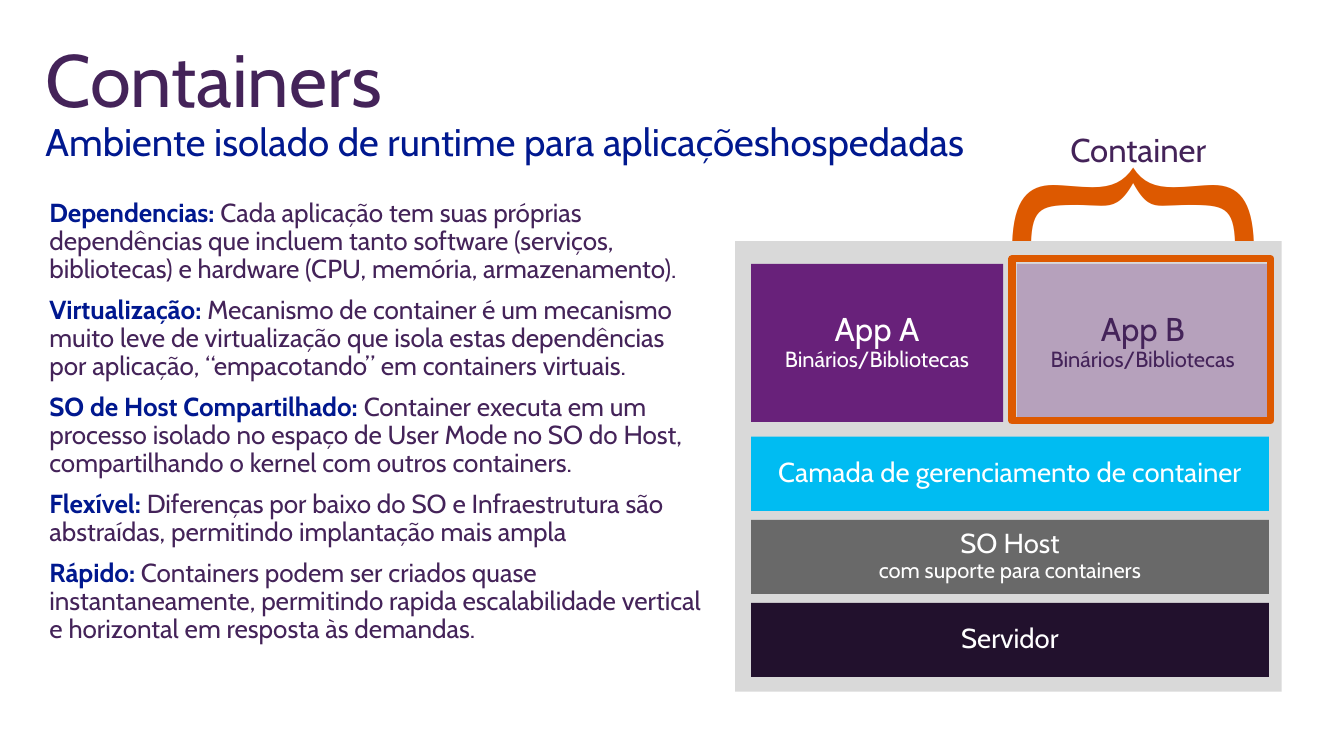
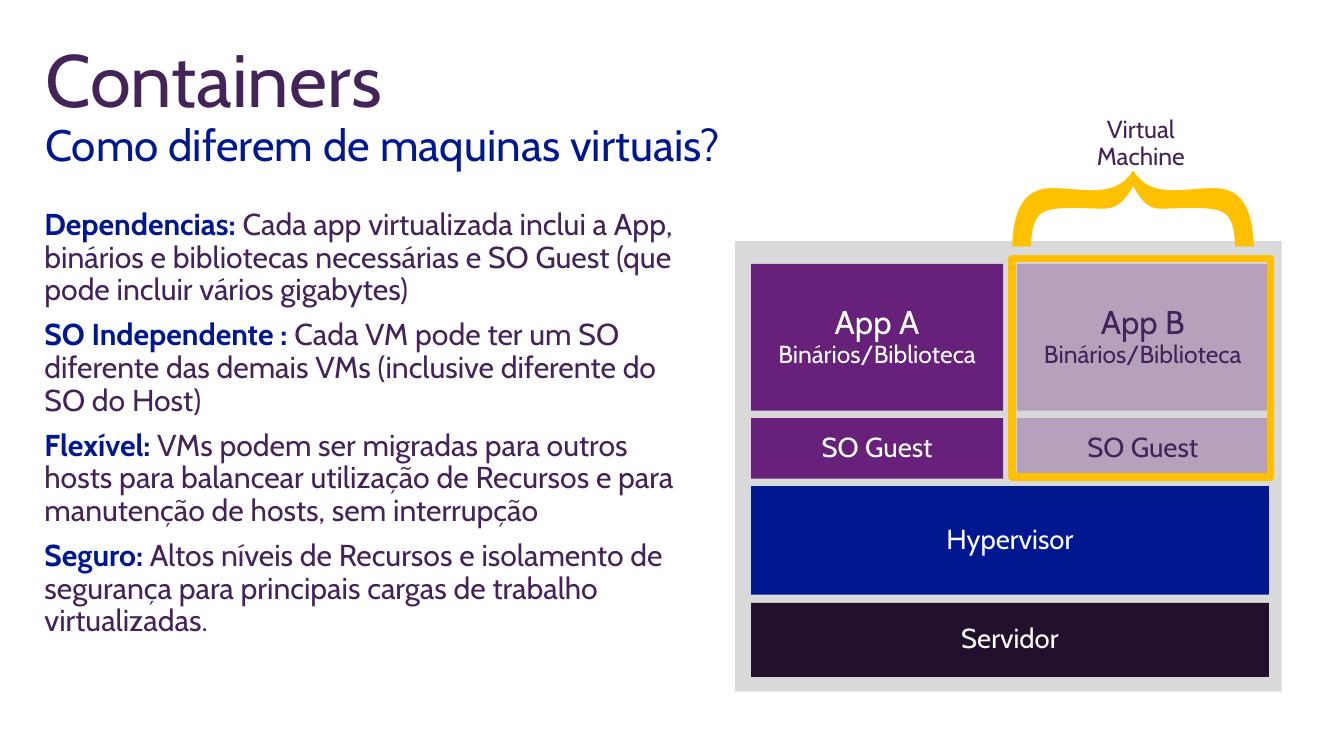
from dataclasses import dataclass

from lxml import etree
from pptx import Presentation
from pptx.dml.color import RGBColor
from pptx.enum.shapes import MSO_SHAPE
from pptx.enum.text import MSO_ANCHOR, MSO_AUTO_SIZE, PP_ALIGN
from pptx.oxml.ns import qn
from pptx.util import Pt

RECTANGLE = MSO_SHAPE.RECTANGLE
TOP, MIDDLE = MSO_ANCHOR.TOP, MSO_ANCHOR.MIDDLE
LEFT, CENTER = PP_ALIGN.LEFT, PP_ALIGN.CENTER
FIXED, GROW = MSO_AUTO_SIZE.NONE, MSO_AUTO_SIZE.SHAPE_TO_FIT_TEXT


@dataclass(frozen=True)
class Theme:
    font: str = "Cabin"
    ink: str = "442359"
    blue: str = "00188F"
    white: str = "FFFFFF"
    panel: str = "D9D9D9"
    purple: str = "68217A"
    cyan: str = "00BCF2"
    gray: str = "696969"
    dark: str = "22112D"
    orange: str = "DD5900"
    yellow: str = "FFC000"
    title: int = 54
    app: int = 24
    layer: int = 20
    brace: int = 199
    frame: float = 5.25
    tint: int = 30


theme = Theme()


def add_rectangle(page, place, fill=None, alpha=100, line=None):
    box = page.shapes.add_shape(RECTANGLE, *map(Pt, place))
    box.shadow.inherit = False
    if fill:
        box.fill.solid()
        box.fill.fore_color.rgb = RGBColor.from_string(fill)
        if alpha < 100:
            color = box.fill._xPr.find(".//" + qn("a:srgbClr"))
            etree.SubElement(color, qn("a:alpha"), val=str(alpha * 1000))
    else:
        box.fill.background()
    if line:
        box.line.color.rgb = RGBColor.from_string(line)
        box.line.width = Pt(theme.frame)
    else:
        box.line.fill.background()
    return box


def write(box, paragraphs, margins=(14.4, 11.5, 14.4, 11.5), align=LEFT,
          anchor=TOP, wrap=True, size=FIXED, before=0, after=0):
    frame = box.text_frame
    left, top, right, bottom = map(Pt, margins)
    frame_format = {
        "margin_left": left, "margin_top": top, "margin_right": right,
        "margin_bottom": bottom, "vertical_anchor": anchor,
        "word_wrap": wrap, "auto_size": size,
    }
    for name, value in frame_format.items():
        setattr(frame, name, value)
    for number, lines in enumerate(paragraphs):
        para = frame.add_paragraph() if number else frame.paragraphs[0]
        para_format = {
            "alignment": align, "line_spacing": 0.9,
            "space_before": Pt(before), "space_after": Pt(after),
        }
        for name, value in para_format.items():
            setattr(para, name, value)
        for row, spans in enumerate(lines):
            if row:
                para.add_line_break()
            for text, points, color, bold in spans:
                span = para.add_run()
                span.text = text
                span_format = {"name": theme.font, "size": Pt(points), "bold": bold}
                for name, value in span_format.items():
                    setattr(span.font, name, value)
                span.font.color.rgb = RGBColor.from_string(color)


PANEL = (535.7, 175.7, 398.2, 328.3)
STACK_LEFT, STACK_BOTTOM, STACK_WIDTH = 547.2, 493.2, 377.2
APP_WIDTH = 183.6
APP_LEFTS = (STACK_LEFT, STACK_LEFT + STACK_WIDTH - APP_WIDTH)
FRAME_LEFT, FRAME_TOP, FRAME_WIDTH = 737.3, 188.6, 188.6

server = (54, 0, theme.dark, [("Servidor", theme.layer)])

slides = [
    {
        "subtitle": ("Ambiente isolado de runtime para aplicaçõeshospedadas", 28),
        "body_place": (21.6, 131, 504, 301.7),
        "body_size": 19,
        "body": [
            ("Dependencias: ", "Cada aplicação tem suas próprias dependências que incluem tanto software (serviços, bibliotecas) e hardware (CPU, memória, armazenamento)."),
            ("Virtualização: ", "Mecanismo de container é um mecanismo muito leve de virtualização que isola estas dependências por aplicação, “empacotando” em containers virtuais."),
            ("SO de Host Compartilhado: ", "Container executa em um processo isolado no espaço de User Mode no SO do Host, compartilhando o kernel com outros containers."),
            ("Flexível: ", "Diferenças por baixo do SO e Infraestrutura são abstraídas, permitindo implantação mais ampla"),
            ("Rápido: ", "Containers podem ser criados quase instantaneamente, permitindo rapida escalabilidade vertical e horizontal em resposta às demandas."),
        ],
        "accent": theme.orange,
        "brace_top": 27.4,
        "brace_behind_panel": True,
        "label": (["Container"], 24, LEFT, (765.4, 86.4, 133.2, 49.7)),
        "frame_height": 118,
        "app_rows": [(115.2, 10.8, ["App A", "App B"], "Binários/Bibliotecas", 16)],
        "layers": [
            (54, 6.5, theme.cyan, [("Camada de gerenciamento de container", theme.layer)]),
            (54, 6.5, theme.gray, [("SO Host", theme.layer), ("com suporte para containers", 16)]),
            server,
        ],
    },
    {
        "subtitle": ("Como diferem de maquinas virtuais?", 32),
        "body_place": (18, 138.2, 492.5, 301.7),
        "body_size": 22,
        "body": [
            ("Dependencias: ", "Cada app virtualizada inclui a App, binários e bibliotecas necessárias e SO Guest (que pode incluir vários gigabytes)"),
            ("SO Independente : ", "Cada VM pode ter um SO diferente das demais VMs (inclusive diferente do SO do Host)"),
            ("Flexível: ", "VMs podem ser migradas para outros hosts para balancear utilização de Recursos e para manutenção de hosts, sem interrupção"),
            ("Seguro: ", "Altos níveis de Recursos e isolamento de segurança para principais cargas de trabalho virtualizadas."),
        ],
        "accent": theme.yellow,
        "brace_top": 29.5,
        "brace_behind_panel": False,
        "label": (["Virtual", "Machine"], 18, CENTER, (782.6, 74.2, 97.2, 62.6)),
        "frame_height": 159,
        "app_rows": [
            (107, 5.5, ["App A", "App B"], "Binários/Biblioteca", 18),
            (44, 5.5, ["SO Guest", "SO Guest"], None, None),
        ],
        "layers": [
            (79, 6, theme.blue, [("Hypervisor", theme.layer)]),
            server,
        ],
    },
]

deck = Presentation()
deck.slide_width, deck.slide_height = Pt(979.2), Pt(550.8)

for content in slides:
    page = deck.slides.add_slide(deck.slide_layouts[6])

    title = page.shapes.add_textbox(*map(Pt, (21.6, 24.5, 949.7, 70.6)))
    write(title, [[[("Containers", theme.title, theme.ink, False)],
                   [(*content["subtitle"], theme.blue, False)]]],
          margins=(11.5, 7.2, 11.5, 7.2))

    body = page.shapes.add_textbox(*map(Pt, content["body_place"]))
    points = content["body_size"]
    write(body, [[[(term, points, theme.blue, True), (text, points, theme.ink, False)]]
                 for term, text in content["body"]],
          margins=(14.4, 14.4, 14.4, 7.2), before=3.1, after=6.1)

    if not content["brace_behind_panel"]:
        add_rectangle(page, PANEL, theme.panel)
    brace = page.shapes.add_textbox(*map(Pt, (779, content["brace_top"], 90, 240.5)))
    brace.rotation = 270
    write(brace, [[[("}", theme.brace, content["accent"], False)]]],
          wrap=False, size=GROW, after=6)
    if content["brace_behind_panel"]:
        add_rectangle(page, PANEL, theme.panel)

    lines, points, align, place = content["label"]
    label = page.shapes.add_textbox(*map(Pt, place))
    write(label, [[[(line, points, theme.ink, False)] for line in lines]],
          align=align, wrap=False, size=GROW, after=6)

    rows = []
    for height, gap, names, detail, detail_size in content["app_rows"]:
        cells = []
        styles = ((theme.white, 100), (theme.ink, theme.tint))
        for left, name, (color, alpha) in zip(APP_LEFTS, names, styles):
            texts = [(name, theme.app if detail else theme.layer)]
            if detail:
                texts.append((detail, detail_size))
            cells.append((left, APP_WIDTH, theme.purple, alpha, color, texts))
        rows.append((height, gap, cells))
    for height, gap, fill, texts in content["layers"]:
        rows.append((height, gap, [(STACK_LEFT, STACK_WIDTH, fill, 100, theme.white, texts)]))

    top = STACK_BOTTOM - sum(height + gap for height, gap, cells in rows)
    for height, gap, cells in rows:
        for left, width, fill, alpha, color, texts in cells:
            block = add_rectangle(page, (left, top, width, height), fill, alpha)
            write(block, [[[(text, points, color, False)] for text, points in texts]],
                  align=CENTER, anchor=MIDDLE)
        top += height + gap

    add_rectangle(page, (FRAME_LEFT, FRAME_TOP, FRAME_WIDTH, content["frame_height"]),
                  line=content["accent"])

deck.save("out.pptx")
